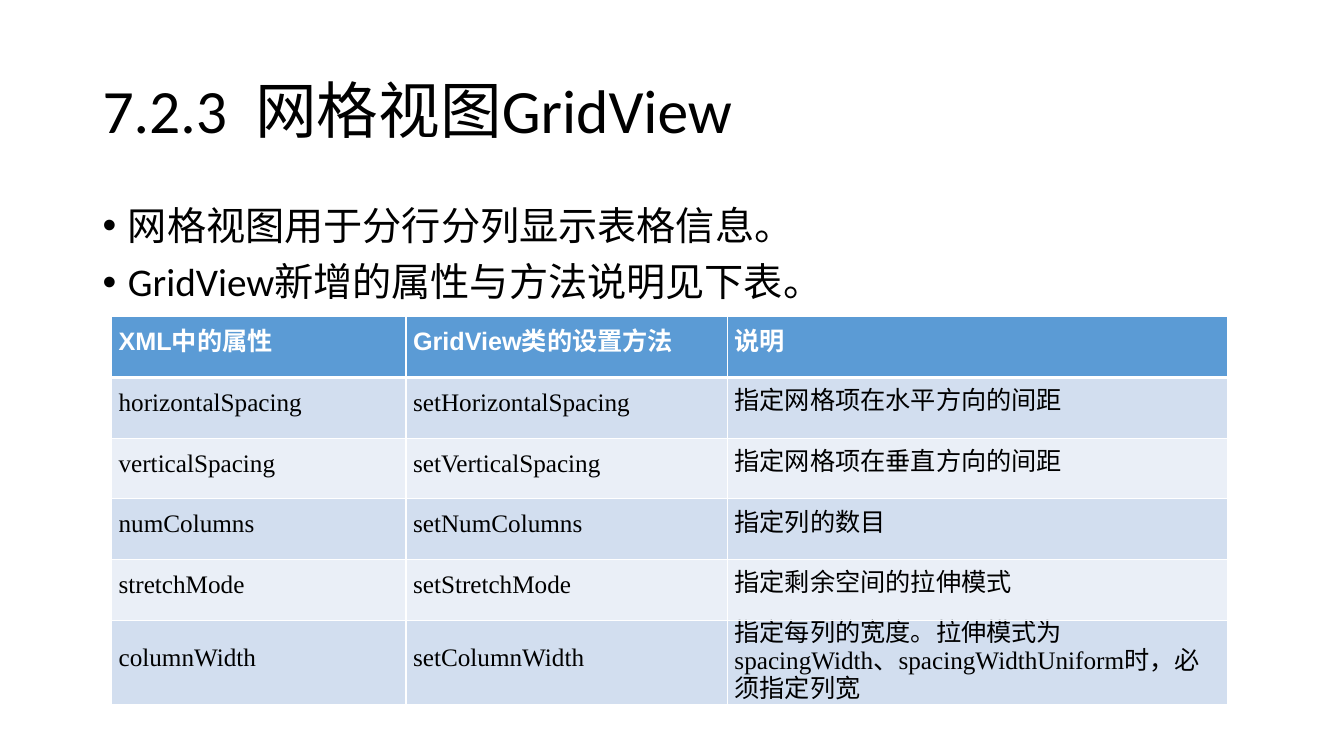
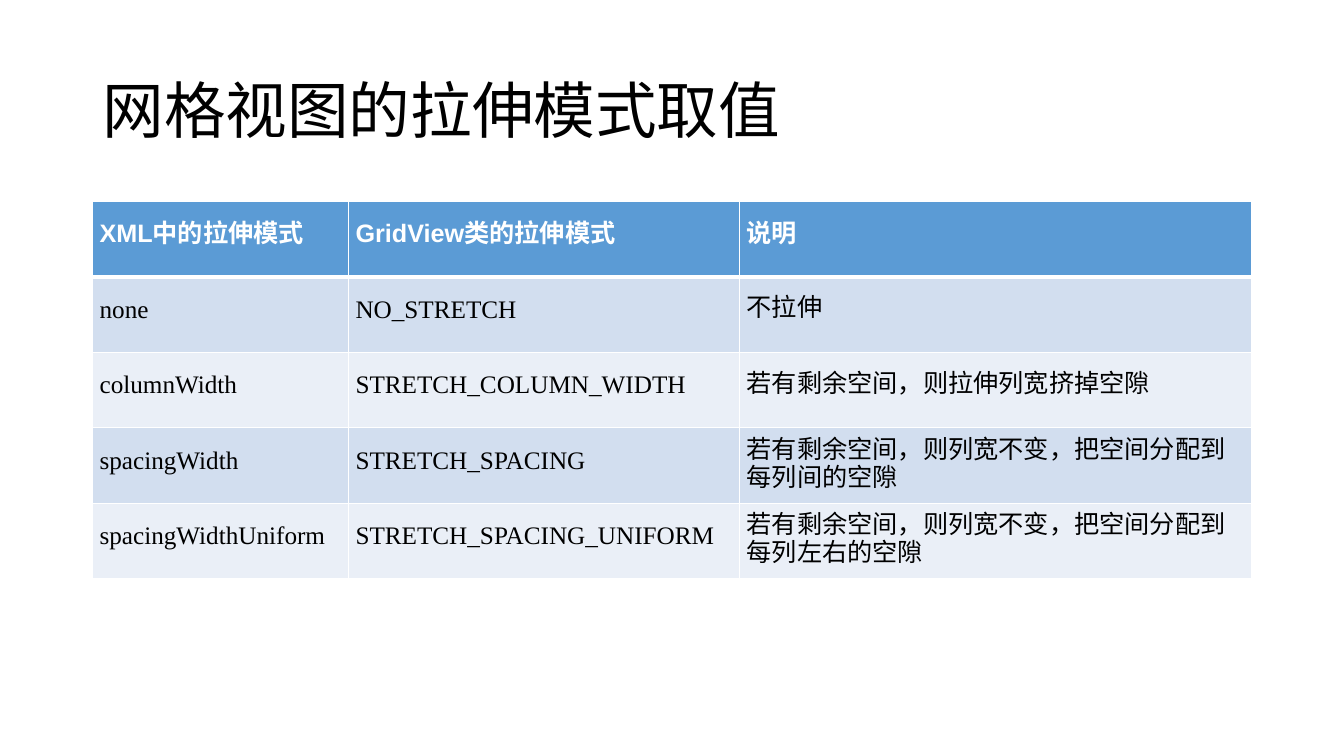
from lxml import etree
from pptx import Presentation
from pptx.dml.color import RGBColor
from pptx.enum.text import MSO_ANCHOR, MSO_AUTO_SIZE, PP_ALIGN
from pptx.oxml.ns import qn
from pptx.util import Cm, Pt

# Enum members
LEFT, JUSTIFY = PP_ALIGN.LEFT, PP_ALIGN.JUSTIFY
MIDDLE, TOP = MSO_ANCHOR.MIDDLE, MSO_ANCHOR.TOP
NO_AUTOFIT = MSO_AUTO_SIZE.NONE

# Shared look
BLACK, WHITE = "000000", "FFFFFF"
HEADER_FILL = "5B9BD5"
BAND_FILLS = ("D2DEEF", "EAEFF7")
MAIN_FONT, HEADER_FONT, CELL_FONT = "Calibri", "Arial", "Times New Roman"
MARGIN_LEFT, CONTENT_TOP, CONTENT_WIDTH = Cm(2.33), Cm(5.08), Cm(29.21)
BULLET_INDENT = Cm(0.64)
CELL_INSET = Cm(0.18)
HEADER_SPACING, SINGLE_SPACING, WRAPPED_SPACING = Pt(15.6), Pt(13), Pt(20)
ONE_LINE_LIMIT = 24  # longer cell texts wrap and need wider line spacing

# Content
ATTRIBUTES = [
    ("XML中的属性", "GridView类的设置方法", "说明"),
    ("horizontalSpacing", "setHorizontalSpacing", "指定网格项在水平方向的间距"),
    ("verticalSpacing", "setVerticalSpacing", "指定网格项在垂直方向的间距"),
    ("numColumns", "setNumColumns", "指定列的数目"),
    ("stretchMode", "setStretchMode", "指定剩余空间的拉伸模式"),
    ("columnWidth", "setColumnWidth",
     "指定每列的宽度。拉伸模式为spacingWidth、spacingWidthUniform时，必须指定列宽"),
]
STRETCH_MODES = [
    ("XML中的拉伸模式", "GridView类的拉伸模式", "说明"),
    ("none", "NO_STRETCH", "不拉伸"),
    ("columnWidth", "STRETCH_COLUMN_WIDTH", "若有剩余空间，则拉伸列宽挤掉空隙"),
    ("spacingWidth", "STRETCH_SPACING",
     "若有剩余空间，则列宽不变，把空间分配到每列间的空隙"),
    ("spacingWidthUniform", "STRETCH_SPACING_UNIFORM",
     "若有剩余空间，则列宽不变，把空间分配到每列左右的空隙"),
]


def rgb(color):
    return RGBColor.from_string(color)


def write(paragraph, text, size, font, color, spacing, align=LEFT, bold=False):
    paragraph.alignment = align
    paragraph.line_spacing = spacing
    run = paragraph.add_run()
    run.text = text
    run.font.size = Pt(size)
    run.font.name = font
    run.font.bold = bold
    run.font.color.rgb = rgb(color)


def place(placeholder, top, height, anchor):
    """Move a placeholder into the content column and return its text frame."""
    placeholder.left, placeholder.top = MARGIN_LEFT, top
    placeholder.width, placeholder.height = CONTENT_WIDTH, height
    frame = placeholder.text_frame
    frame.auto_size = NO_AUTOFIT
    frame.vertical_anchor = anchor
    return frame


def add_titled_slide(prs, layout_name, title):
    slide = prs.slides.add_slide(prs.slide_layouts.get_by_name(layout_name))
    frame = place(slide.shapes.title, Cm(1.01), Cm(3.68), MIDDLE)
    write(frame.paragraphs[0], title, 44, MAIN_FONT, BLACK, 0.9)
    return slide


def fill_bullets(slide, items):
    frame = place(slide.placeholders[1], CONTENT_TOP, Cm(12.09), TOP)
    for index, item in enumerate(items):
        paragraph = frame.add_paragraph() if index else frame.paragraphs[0]
        write(paragraph, item, 28, MAIN_FONT, BLACK, 0.9)
        paragraph.space_before = Pt(10)
        properties = paragraph._p.get_or_add_pPr()
        properties.set("marL", str(BULLET_INDENT))
        properties.set("indent", str(-BULLET_INDENT))
        etree.SubElement(properties, qn("a:buChar")).set("char", "•")


def add_border(cell, side, width):
    line = etree.SubElement(cell._tc.get_or_add_tcPr(), qn("a:ln" + side))
    line.set("w", str(Pt(width)))
    solid = etree.SubElement(line, qn("a:solidFill"))
    etree.SubElement(solid, qn("a:srgbClr")).set("val", WHITE)


def format_cell(cell, text, row):
    is_header = row == 0
    cell.vertical_anchor = MIDDLE
    cell.margin_left = cell.margin_right = CELL_INSET
    cell.margin_top = cell.margin_bottom = 0
    # Borders come before the fill in the cell properties
    for side in "LRTB":
        under_header = (row, side) in ((0, "B"), (1, "T"))
        add_border(cell, side, 3 if under_header else 1)
    cell.fill.solid()
    fill = HEADER_FILL if is_header else BAND_FILLS[(row - 1) % 2]
    cell.fill.fore_color.rgb = rgb(fill)

    paragraph = cell.text_frame.paragraphs[0]
    if is_header:
        write(paragraph, text, 18, HEADER_FONT, WHITE, HEADER_SPACING, JUSTIFY, True)
    else:
        wraps = len(text) > ONE_LINE_LIMIT
        spacing = WRAPPED_SPACING if wraps else SINGLE_SPACING
        write(paragraph, text, 18, CELL_FONT, BLACK, spacing)


def add_grid(slide, records, left, top, column_widths, row_height):
    table = slide.shapes.add_table(
        len(records), len(column_widths), left, top,
        sum(column_widths), row_height * len(records)).table
    for column, width in zip(table.columns, column_widths):
        column.width = width
    for row, record in enumerate(records):
        table.rows[row].height = row_height
        for column, text in enumerate(record):
            format_cell(table.cell(row, column), text, row)


def main():
    prs = Presentation()
    prs.slide_width, prs.slide_height = Cm(33.87), Cm(19.05)

    # GridView attributes and methods
    attributes = add_titled_slide(prs, "Title and Content", "7.2.3  网格视图GridView")
    fill_bullets(attributes, ["网格视图用于分行分列显示表格信息。",
                              "GridView新增的属性与方法说明见下表。"])
    add_grid(attributes, ATTRIBUTES, Cm(2.81), Cm(7.98),
             [Cm(7.42), Cm(8.1), Cm(12.6)], Cm(1.53))

    # Stretch mode values
    modes = add_titled_slide(prs, "Title Only", "网格视图的拉伸模式取值")
    add_grid(modes, STRETCH_MODES, MARGIN_LEFT, CONTENT_TOP,
             [Cm(6.45), Cm(9.86), Cm(12.9)], Cm(1.9))

    prs.save("out.pptx")


if __name__ == "__main__":
    main()
